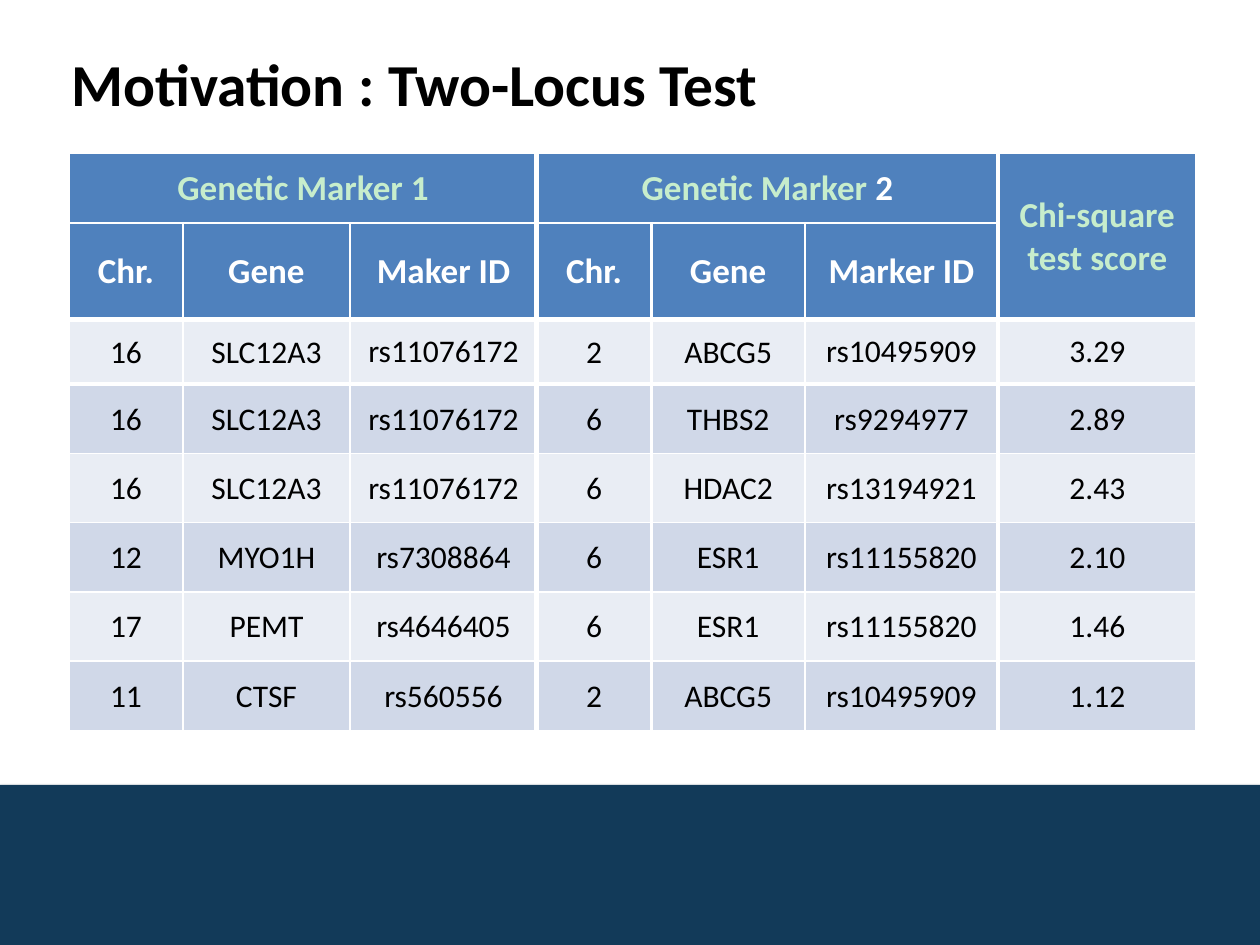
from dataclasses import dataclass

from lxml import etree
from pptx import Presentation
from pptx.dml.color import RGBColor
from pptx.enum.shapes import MSO_SHAPE
from pptx.enum.text import MSO_ANCHOR, PP_ALIGN
from pptx.oxml import parse_xml
from pptx.oxml.ns import nsdecls, qn
from pptx.util import Inches, Pt

RECT = MSO_SHAPE.RECTANGLE
MIDDLE = MSO_ANCHOR.MIDDLE
LEFT, CENTER = PP_ALIGN.LEFT, PP_ALIGN.CENTER


@dataclass(frozen=True)
class Theme:
    """Colours, font and type sizes of the slide."""
    font: str = "Calibri"
    black: str = "000000"
    white: str = "FFFFFF"
    green: str = "C7EDCC"
    navy: str = "123A59"
    header: str = "4F81BD"
    bands: tuple = ("E9EDF4", "D0D8E8")
    title_size: int = 34
    header_size: int = 20
    body_size: int = 18


T = Theme()
COL_WIDTHS = [0.9, 1.33, 1.48, 0.91, 1.22, 1.53, 1.58]
ROW_HEIGHTS = [0.55, 0.56, 0.51] + [0.55] * 5
COL_RULES = [1, 1.5, 1.5, 3, 1.5, 1.5, 3, 3]
ROW_RULES = [1, 1.5, 3, 3, 1, 1, 1, 1, 1]
ROOMY_CELLS = {(2, 2), (2, 5), (2, 6)}
GROUPS = [
    (0, 0, 1, 3, [[("Genetic Marker 1", T.green)]]),
    (0, 3, 1, 3, [[("Genetic Marker ", T.green), ("2", T.white)]]),
    (0, 6, 2, 1, [[("Chi-square", T.green)], [("test score", T.green)]]),
]
COLUMNS = ["Chr.", "Gene", "Maker ID", "Chr.", "Gene", "Marker ID"]
SCORES = [
    ["16", "SLC12A3", "rs11076172", "2", "ABCG5", "rs10495909", "3.29"],
    ["16", "SLC12A3", "rs11076172", "6", "THBS2", "rs9294977", "2.89"],
    ["16", "SLC12A3", "rs11076172", "6", "HDAC2", "rs13194921", "2.43"],
    ["12", "MYO1H", "rs7308864", "6", "ESR1", "rs11155820", "2.10"],
    ["17", "PEMT", "rs4646405", "6", "ESR1", "rs11155820", "1.46"],
    ["11", "CTSF", "rs560556", "2", "ABCG5", "rs10495909", "1.12"],
]


def write(tf, paragraphs, size, bold=False, align=LEFT):
    """Fill a text frame with paragraphs, each a list of (text, colour) runs."""
    for i, runs in enumerate(paragraphs):
        p = tf.paragraphs[0] if i == 0 else tf.add_paragraph()
        p.alignment = align
        for text, color in runs:
            r = p.add_run()
            r.text = text
            r.font.name = T.font
            r.font.size = Pt(size)
            r.font.bold = bold
            r.font.color.rgb = RGBColor.from_string(color)


def add_band(s, x, y, w, h):
    """Draw the footer band with its soft shadow."""
    sp = s.shapes.add_shape(RECT, Inches(x), Inches(y), Inches(w), Inches(h))
    sp.fill.solid()
    sp.fill.fore_color.rgb = RGBColor.from_string(T.navy)
    sp.line.fill.background()
    sp.shadow.inherit = False
    effects = sp._element.spPr.find(qn("a:effectLst"))
    effects.append(parse_xml(
        f'<a:outerShdw {nsdecls("a")} blurRad="{Pt(3.1)}" dist="{Pt(1.8)}" '
        f'dir="5400000" rotWithShape="0"><a:srgbClr val="{T.black}">'
        '<a:alpha val="35000"/></a:srgbClr></a:outerShdw>'))


def add_title(s, x, y, w, h):
    """Place the slide title."""
    tb = s.shapes.add_textbox(Inches(x), Inches(y), Inches(w), Inches(h))
    tf = tb.text_frame
    tf.word_wrap = True
    tf.vertical_anchor = MIDDLE
    tf.margin_bottom = 0
    write(tf, [[("Motivation : Two-Locus Test", T.black)]], T.title_size, bold=True)


def set_borders(cell, **widths):
    """Give the sides L, R, T and B of a cell white rules, widths in points."""
    tcPr = cell._tc.get_or_add_tcPr()
    for side, width in widths.items():
        ln = etree.SubElement(tcPr, qn(f"a:ln{side}"), w=str(Pt(width)))
        fill = etree.SubElement(ln, qn("a:solidFill"))
        etree.SubElement(fill, qn("a:srgbClr"), val=T.white)


def style_cell(cell, row, col):
    """Set the rules, fill, anchor and margins of one cell."""
    if not cell.is_spanned:
        set_borders(cell, L=COL_RULES[col], R=COL_RULES[col + cell.span_width],
                    T=ROW_RULES[row], B=ROW_RULES[row + cell.span_height])
    color = T.header if row < 2 else T.bands[row % 2]
    cell.fill.solid()
    cell.fill.fore_color.rgb = RGBColor.from_string(color)
    cell.vertical_anchor = MIDDLE
    if row >= 2 and (row, col) not in ROOMY_CELLS:
        cell.margin_left = cell.margin_right = cell.margin_top = Inches(0.01)
        cell.margin_bottom = 0


def add_score_table(s, x, y, w, h):
    """Build the table of marker pairs and their test scores."""
    frame = s.shapes.add_table(len(ROW_HEIGHTS), len(COL_WIDTHS),
                               Inches(x), Inches(y), Inches(w), Inches(h))
    table = frame.table
    for col, width in zip(table.columns, COL_WIDTHS):
        col.width = Inches(width)
    for row, height in zip(table.rows, ROW_HEIGHTS):
        row.height = Inches(height)
    for row, col, rows, cols, text in GROUPS:
        cell = table.cell(row, col)
        cell.merge(table.cell(row + rows - 1, col + cols - 1))
        write(cell.text_frame, text, T.header_size, bold=True, align=CENTER)
    for col, text in enumerate(COLUMNS):
        write(table.cell(1, col).text_frame, [[(text, T.white)]],
              T.header_size, bold=True, align=CENTER)
    for row, values in enumerate(SCORES, start=2):
        for col, text in enumerate(values):
            write(table.cell(row, col).text_frame, [[(text, T.black)]],
                  T.body_size, align=CENTER)
    for row in range(len(ROW_HEIGHTS)):
        for col in range(len(COL_WIDTHS)):
            style_cell(table.cell(row, col), row, col)


def main():
    """Build the slide and save it."""
    prs = Presentation()
    prs.slide_width, prs.slide_height = Inches(10), Inches(7.5)
    s = prs.slides.add_slide(prs.slide_layouts[6])
    s.background.fill.solid()
    s.background.fill.fore_color.rgb = RGBColor.from_string(T.white)
    add_band(s, 0, 6.23, 10, 1.27)
    add_title(s, 0.47, 0.27, 9, 0.73)
    add_score_table(s, 0.55, 1.22, 8.94, 4.35)
    prs.save("out.pptx")


if __name__ == "__main__":
    main()
